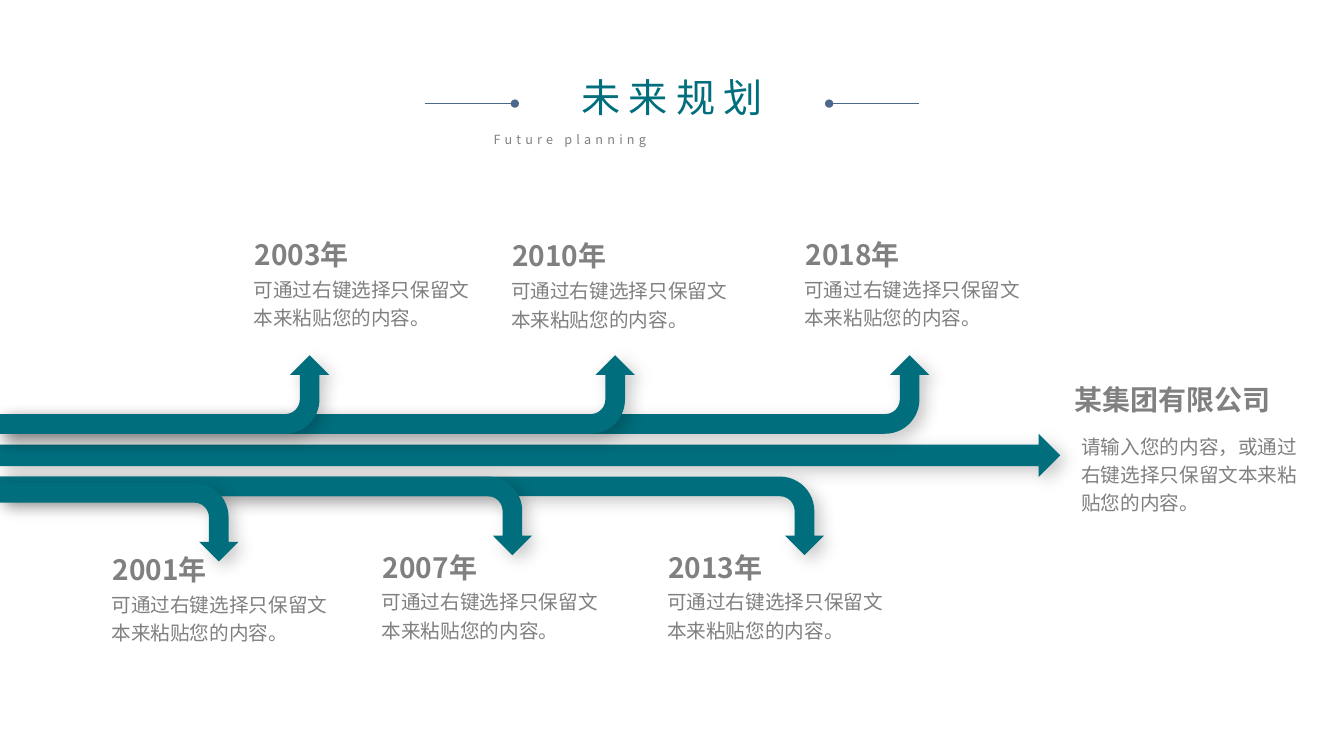
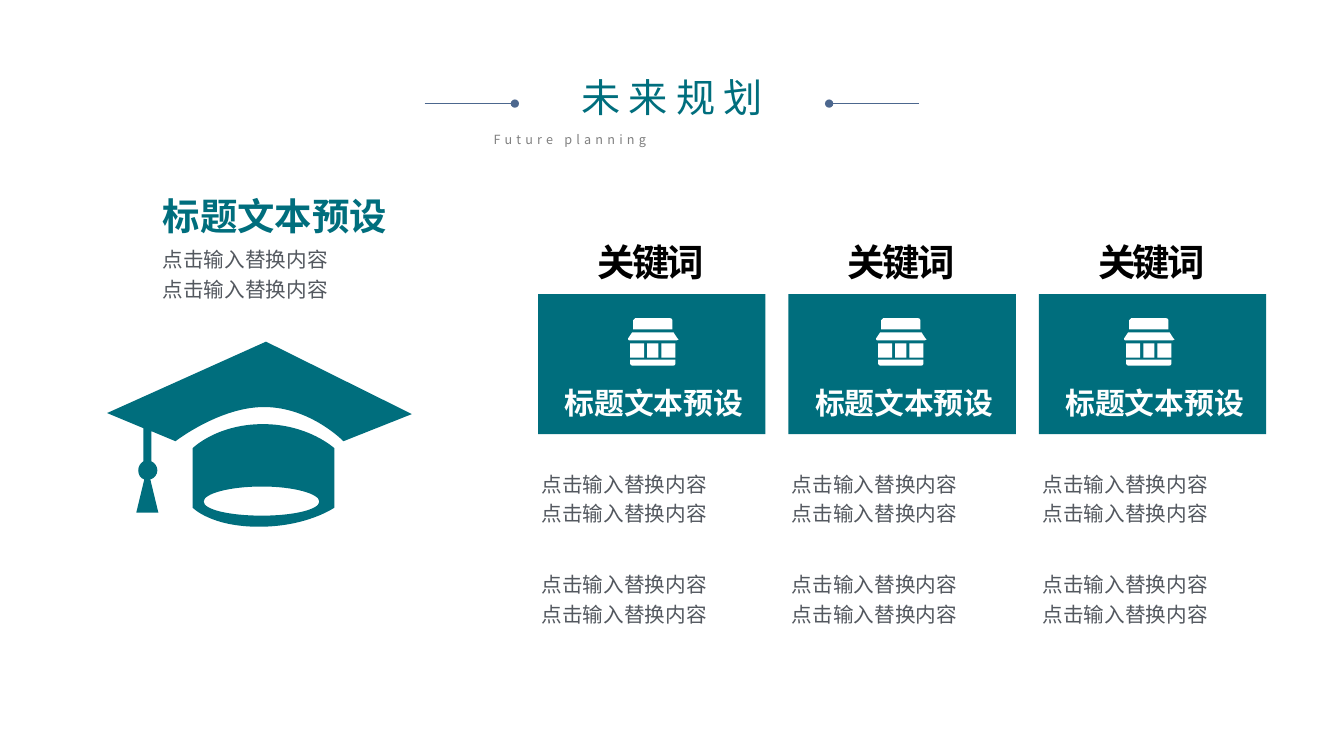
from lxml.etree import Element, SubElement
from pptx import Presentation
from pptx.dml.color import RGBColor
from pptx.enum.shapes import MSO_CONNECTOR, MSO_SHAPE as Preset
from pptx.enum.text import MSO_ANCHOR as Anchor, MSO_AUTO_SIZE as AutoSize, PP_ALIGN as Align
from pptx.oxml.ns import qn
from pptx.util import Cm, Pt

FONT = "Noto Sans CJK SC"
TEAL, GRAY, SLATE = "006E7D", "808080", "53585F"
NAVY, BLACK, WHITE = "4C678E", "000000", "FFFFFF"
SLIDE_W, SLIDE_H = 33.87, 19.05
ARROW_DEPTH = 1.98
DEFAULT_INSETS = (0.25, 0.13)

MILESTONE_TEXT = "可通过右键选择只保留文本来粘贴您的内容。"
MILESTONES = [
    ("2001年", 2.59, 13.8), ("2003年", 6.17, 5.86),
    ("2007年", 9.4, 13.73), ("2010年", 12.66, 5.89),
    ("2013年", 16.59, 13.73), ("2018年", 20.05, 5.86),
]
# Length, top and direction of each bent arrow, longest first
BENT_ARROWS = [
    (23.42, 8.95, "up"), (20.77, 12.01, "down"), (16, 8.95, "up"),
    (8.3, 8.95, "up"), (13.41, 12.01, "down"), (6.01, 12.17, "down"),
]
CARD_LEFT, CARD_PITCH = 13.56, 6.31
ICON_LEFT, ICON_PITCH = 15.83, 6.25
PLACEHOLDER_LINES = ["点击输入替换内容"] * 2

# Outlines: a pair is a corner, six numbers are a cubic curve
CAP = [
    # Board and tassel
    [(235, 99), (235, 99, 202, 65, 156, 65), (112, 65, 68, 99, 68, 99),
     (44, 89), (44, 119), (47, 120, 50, 124, 50, 128), (50, 132, 47, 136, 43, 137),
     (51, 170), (29, 170), (37, 137), (33, 136, 31, 132, 31, 128),
     (31, 124, 33, 121, 36, 119), (36, 86), (0, 71), (158, 0), (303, 72)],
    # Crown
    [(155, 82), (200, 82, 226, 106, 226, 106), (226, 165),
     (226, 165, 199, 184, 151, 184), (103, 184, 85, 165, 85, 165),
     (85, 106), (85, 106, 109, 82, 155, 82)],
    # Opening
    [(154, 173), (185, 173, 211, 167, 211, 159), (211, 151, 185, 144, 154, 144),
     (122, 144, 96, 151, 96, 159), (96, 167, 122, 173, 154, 173)],
]
WINDOWS = [[(x1, 25), (x2, 25), (x2, 39), (x1, 39)]
           for x1, x2 in [(2, 16), (19, 30), (33, 47)]]
STORE = WINDOWS + [
    # Base, awning, roof
    [(2, 41), (47, 41), (47, 45), (47, 46, 46, 47, 45, 47), (4, 47),
     (3, 47, 2, 46, 2, 45)],
    [(4, 14), (45, 14), (49, 20), (49, 20, 50, 20, 50, 21),
     (50, 21, 49, 22, 48, 22), (1, 22), (0, 22, 0, 22, 0, 21), (0, 20)],
    [(7, 0), (42, 0), (43, 0, 44, 1, 44, 2), (44, 11), (5, 11), (5, 2),
     (5, 1, 6, 0, 7, 0)],
]


def color(hex_code):
    return RGBColor.from_string(hex_code)


def paint(shape, fill):
    shape.shadow.inherit = False
    shape.fill.solid()
    shape.fill.fore_color.rgb = color(fill)
    shape.line.fill.background()


def add_soft_shadow(shape):
    effects = shape._element.spPr.find(qn("a:effectLst"))
    outer = SubElement(effects, qn("a:outerShdw"), blurRad=str(Pt(12)),
                       dist=str(Pt(5)), dir="2700000", algn="tl", rotWithShape="0")
    black = SubElement(outer, qn("a:srgbClr"), val=BLACK)
    SubElement(black, qn("a:alpha"), val="21000")


def add_text(slide, box, lines, size, ink, bold=False, align=Align.LEFT, leading=None,
             tracking=None, anchor=Anchor.TOP, insets=DEFAULT_INSETS, grow=True):
    textbox = slide.shapes.add_textbox(*map(Cm, box))
    frame = textbox.text_frame
    frame.text = "\n".join(lines)
    frame.word_wrap = True
    frame.auto_size = AutoSize.SHAPE_TO_FIT_TEXT if grow else AutoSize.NONE
    frame.vertical_anchor = anchor
    frame.margin_left = frame.margin_right = Cm(insets[0])
    frame.margin_top = frame.margin_bottom = Cm(insets[1])
    for paragraph in frame.paragraphs:
        paragraph.alignment = align
        if leading:
            paragraph.line_spacing = leading
        for run in paragraph.runs:
            run.font.size = Pt(size)
            run.font.bold = bold
            run.font.color.rgb = color(ink)
            run.font.name = FONT
            properties = run._r.get_or_add_rPr()
            SubElement(properties, qn("a:ea"), typeface=FONT)
            if tracking:
                properties.set("spc", str(tracking * 100))


def bend(segment, controls, unit):
    """Turn a straight segment into a cubic curve."""
    segment.tag = qn("a:cubicBezTo")
    for index in (0, 1):
        x, y = controls[2 * index:2 * index + 2]
        point = Element(qn("a:pt"), x=str(round(x * unit)), y=str(round(y * unit)))
        segment.insert(index, point)


def add_outline(slide, left, top, width, contours, fill):
    parts = [part for contour in contours for part in contour[1:]]
    unit = Cm(width) / max(part[-2] for part in parts)
    builder = None
    for contour in contours:
        start, *ends = [(part[-2] * unit, part[-1] * unit) for part in contour]
        if builder is None:
            builder = slide.shapes.build_freeform(*start)
        else:
            builder.move_to(*start)
        builder.add_line_segments(ends, close=True)
    outline = builder.convert_to_shape(Cm(left), Cm(top))
    segments = list(outline._element.iter(qn("a:lnTo")))
    for segment, part in zip(segments, parts):
        if len(part) == 6:
            bend(segment, part[:4], unit)
    paint(outline, fill)


def add_title_rule(slide, outer, inner, y):
    rule = slide.shapes.add_connector(MSO_CONNECTOR.STRAIGHT, Cm(outer), Cm(y), Cm(inner), Cm(y))
    rule.line.color.rgb = color(NAVY)
    rule.line.width = Pt(0.5)
    SubElement(rule.line._get_or_add_ln(), qn("a:tailEnd"), type="oval")
    SubElement(rule._element.spPr, qn("a:effectLst"))


def add_header(slide):
    add_text(slide, (12.19, 3.19, 9.5, 0.64), ["Future planning"], 9, GRAY,
             align=Align.JUSTIFY, tracking=3)
    add_text(slide, (13.11, 1.73, 7.65, 1.45), ["未来规划"], 28, TEAL,
             align=Align.CENTER, tracking=6)
    for side in (-1, 1):
        add_title_rule(slide, SLIDE_W / 2 + side * 6.23, SLIDE_W / 2 + side * 3.96, 2.61)


def add_bent_arrow(slide, length, top, direction):
    # The box is upright before its quarter turn about the centre
    arrow = slide.shapes.add_shape(
        Preset.BENT_ARROW, Cm((length - ARROW_DEPTH) / 2), Cm(top + (ARROW_DEPTH - length) / 2),
        Cm(ARROW_DEPTH), Cm(length))
    arrow.rotation = 90 if direction == "up" else 270
    xfrm = arrow._element.spPr.find(qn("a:xfrm"))
    xfrm.set("flipH", "1")
    if direction == "down":
        xfrm.set("flipV", "1")
    paint(arrow, TEAL)
    add_soft_shadow(arrow)


def add_milestone(slide, year, left, top):
    add_text(slide, (left, top, 3.61, 1.12), [year], 20, GRAY, bold=True)
    add_text(slide, (left - 0.03, top + 0.9, 6.17, 2.41), [MILESTONE_TEXT], 14, GRAY,
             leading=1.2)


def build_timeline(slide):
    add_header(slide)
    # Arrows
    main_arrow = slide.shapes.add_shape(Preset.RIGHT_ARROW, 0, Cm(10.93), Cm(26.72), Cm(1.09))
    paint(main_arrow, TEAL)
    add_soft_shadow(main_arrow)
    for length, top, direction in BENT_ARROWS:
        add_bent_arrow(slide, length, top, direction)
    # Destination
    add_text(slide, (25.93, 9.51, 7.24, 1.12), ["某集团有限公司"], 20, GRAY, bold=True,
             align=Align.CENTER)
    add_text(slide, (27, 10.71, 6.17, 3.12),
             ["请输入您的内容，或通过右键选择只保留文本来粘贴您的内容。"], 14, GRAY, leading=1.2)
    # Years
    for year, left, top in MILESTONES:
        add_milestone(slide, year, left, top)


def add_card(slide, left, top):
    panel = slide.shapes.add_shape(Preset.RECTANGLE, Cm(left), Cm(top), Cm(5.73), Cm(3.53))
    paint(panel, TEAL)
    add_text(slide, (left, top - 1.39, 5.69, 1.14), ["关键词"], 26.7, BLACK, bold=True,
             align=Align.CENTER, tracking=-2, anchor=Anchor.MIDDLE,
             insets=(0.33, 0.18), grow=False)
    add_text(slide, (left + 0.15, top + 2.22, 5.54, 1.02), ["标题文本预设"], 21.3, WHITE,
             bold=True, align=Align.CENTER, anchor=Anchor.MIDDLE, grow=False)
    for drop in (4.22, 6.76):
        add_text(slide, (left - 0.16, top + drop, 5.99, 1.75), PLACEHOLDER_LINES, 14.7, SLATE,
                 leading=1.2, anchor=Anchor.MIDDLE)


def build_keywords(slide):
    add_header(slide)
    # Introduction
    add_text(slide, (4.1, 6.11, 7.26, 2.21), PLACEHOLDER_LINES, 14.7, SLATE, leading=1.2,
             insets=(0, 0), grow=False)
    add_text(slide, (4.1, 4.86, 7.26, 0.86), ["标题文本预设"], 26.7, TEAL, bold=True,
             insets=(0, 0), grow=False)
    # Cards with their icons
    for index in range(3):
        add_card(slide, CARD_LEFT + index * CARD_PITCH, 7.41)
        add_outline(slide, ICON_LEFT + index * ICON_PITCH, 8.02, 1.27, STORE, WHITE)
    # Graduation cap
    add_outline(slide, 2.7, 8.61, 7.68, CAP, TEAL)


def main():
    deck = Presentation()
    deck.slide_width, deck.slide_height = Cm(SLIDE_W), Cm(SLIDE_H)
    for build in (build_timeline, build_keywords):
        build(deck.slides.add_slide(deck.slide_layouts[6]))
    deck.save("out.pptx")


if __name__ == "__main__":
    main()
